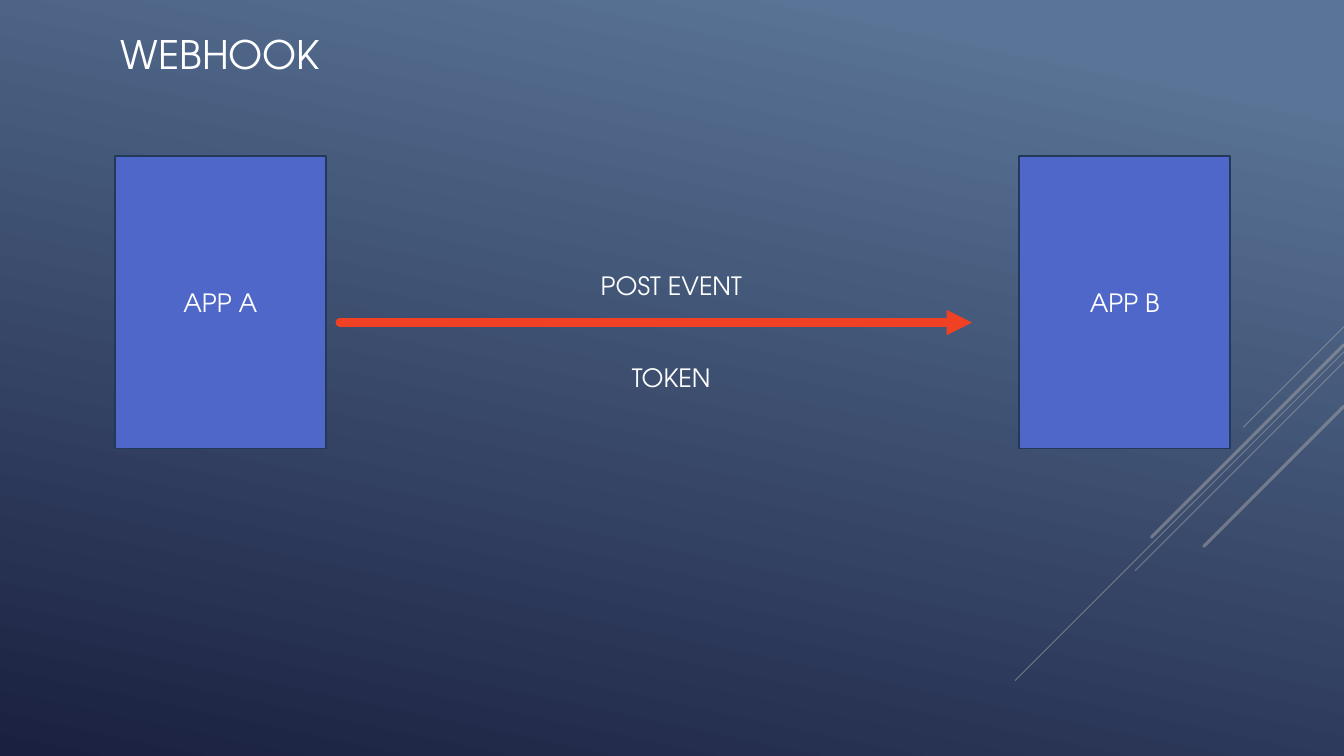
from lxml.etree import SubElement
from pptx import Presentation
from pptx.dml.color import RGBColor
from pptx.enum.shapes import MSO_CONNECTOR, MSO_SHAPE
from pptx.enum.text import MSO_ANCHOR, PP_ALIGN
from pptx.oxml.ns import qn
from pptx.util import Inches, Pt

FONT = "TeX Gyre Adventor"
WHITE = "FFFFFF"


def color(value):
    """Turn a hex string into a colour."""
    return RGBColor.from_string(value)


def set_text(tf, text, size=18, align=PP_ALIGN.CENTER, anchor=MSO_ANCHOR.MIDDLE):
    """Fill a text frame with one formatted line."""
    tf.text = text
    tf.vertical_anchor = anchor
    p = tf.paragraphs[0]
    p.alignment = align
    font = p.runs[0].font
    font.name, font.size = FONT, Pt(size)
    font.color.rgb = color(WHITE)


def add_line(s, start, end, rgb, width, alpha=None, arrow=False):
    """Draw a round-capped line, optionally see-through or with an arrowhead."""
    c = s.shapes.add_connector(
        MSO_CONNECTOR.STRAIGHT, *[Inches(v) for v in (*start, *end)])
    c.line.width = Pt(width)
    c.line.color.rgb = color(rgb)
    sp_pr = c._element.spPr
    ln = sp_pr.find(qn("a:ln"))
    ln.set("cap", "rnd")
    if alpha:
        clr = ln.find(qn("a:solidFill")).find(qn("a:srgbClr"))
        SubElement(clr, qn("a:alpha")).set("val", str(alpha * 1000))
    if arrow:
        SubElement(ln, qn("a:tailEnd")).set("type", "triangle")
    SubElement(sp_pr, qn("a:effectLst"))


def add_background(s):
    """Fill the slide with the blue gradient."""
    fill = s.background.fill
    fill.gradient()
    fill.gradient_angle = 258
    for stop, (position, rgb) in zip(
            fill.gradient_stops, [(0.1, "597496"), (1, "1A2040")]):
        stop.position = position
        stop.color.rgb = color(rgb)


def add_rays(s, right):
    """Draw the diagonal rays that run down from the right edge."""
    for top, length, width in [(3.24, 1, 0.75), (3.49, 3.26, 0.75),
                               (3.59, 2.07, 0.75), (3.42, 1.91, 2.25),
                               (4.03, 1.39, 2.25)]:
        add_line(s, (right, top), (right - length, top + length),
                 "A6A6A6", width, alpha=51)


def add_title(s, left, top, width, height):
    """Place the slide title."""
    title = s.shapes.title
    title.left, title.top = Inches(left), Inches(top)
    title.width, title.height = Inches(width), Inches(height)
    set_text(title.text_frame, "WEBHOOK", 28, PP_ALIGN.LEFT, MSO_ANCHOR.TOP)


def add_app(s, text, left, top, width, height):
    """Draw one application box."""
    sp = s.shapes.add_shape(
        MSO_SHAPE.RECTANGLE, *[Inches(v) for v in (left, top, width, height)])
    sp.shadow.inherit = False
    sp.fill.solid()
    sp.fill.fore_color.rgb = color("4E67C8")
    sp.line.color.rgb = color("223958")
    sp.line.width = Pt(1.25)
    set_text(sp.text_frame, text)


def add_label(s, text, left, top, width, height=0.4):
    """Place a caption of the arrow."""
    box = s.shapes.add_textbox(*[Inches(v) for v in (left, top, width, height)])
    box.text_frame.word_wrap = False
    set_text(box.text_frame, text, align=PP_ALIGN.LEFT, anchor=MSO_ANCHOR.TOP)


def add_flow(s, left, top, width, height):
    """Draw both applications and the event sent between them."""
    app_width = 2.09
    add_app(s, "APP A", left, top, app_width, height)
    add_app(s, "APP B", left + width - app_width, top, app_width, height)
    y = top + 1.65
    add_line(s, (left + 2.23, y), (left + 8.5, y), "F14124", 6, arrow=True)
    add_label(s, "POST EVENT", left + 4.72, y - 0.57, 1.61)
    add_label(s, "TOKEN", left + 5.03, y + 0.35, 1)


def main():
    """Build and save the slide."""
    prs = Presentation()
    prs.slide_width, prs.slide_height = Inches(13.33), Inches(7.5)
    s = prs.slides.add_slide(prs.slide_layouts[5])
    add_background(s)
    add_rays(s, 13.33)
    add_title(s, 1.1, 0.25, 2.72, 0.57)
    add_flow(s, 1.14, 1.55, 11.06, 2.9)
    prs.save("out.pptx")


if __name__ == "__main__":
    main()
